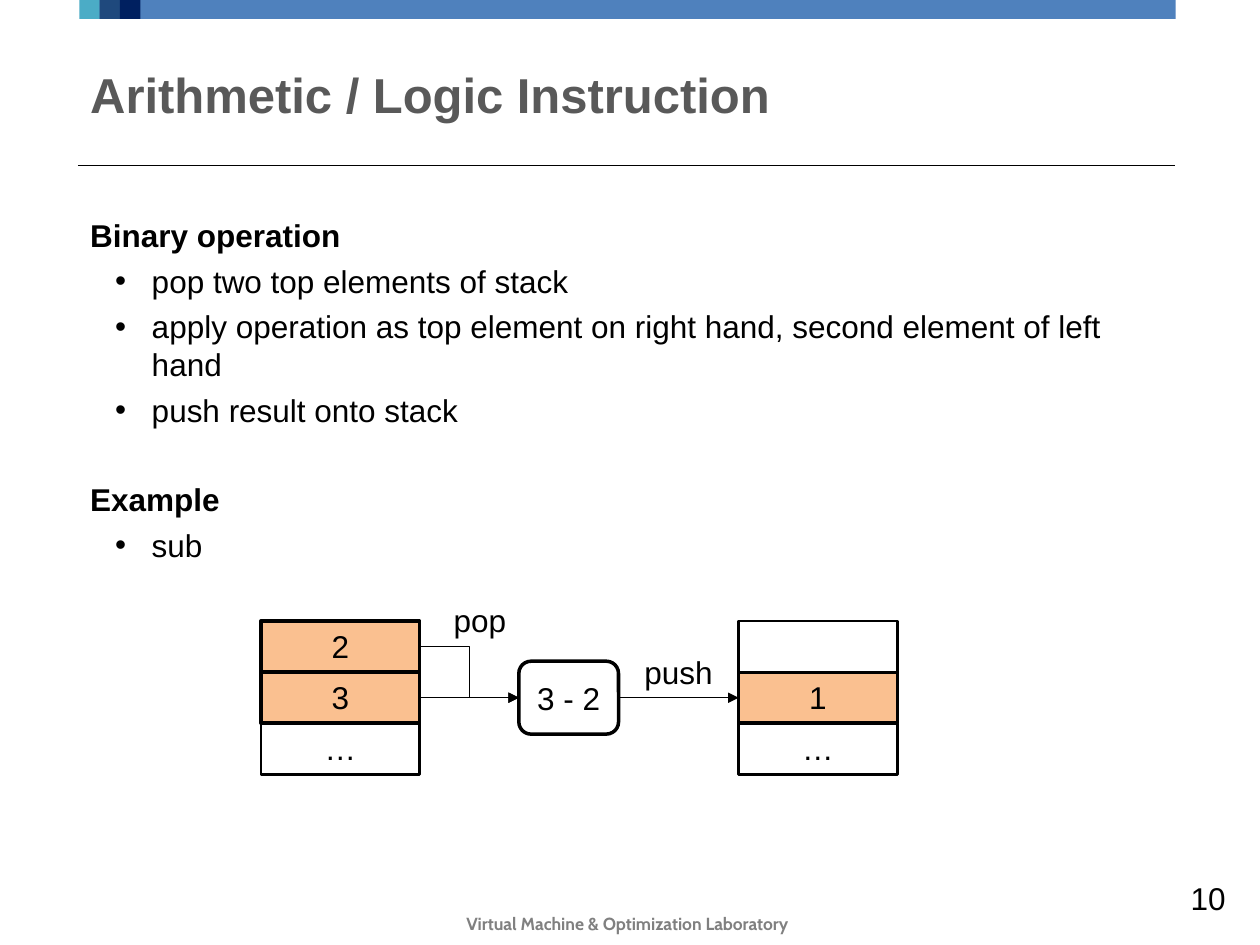
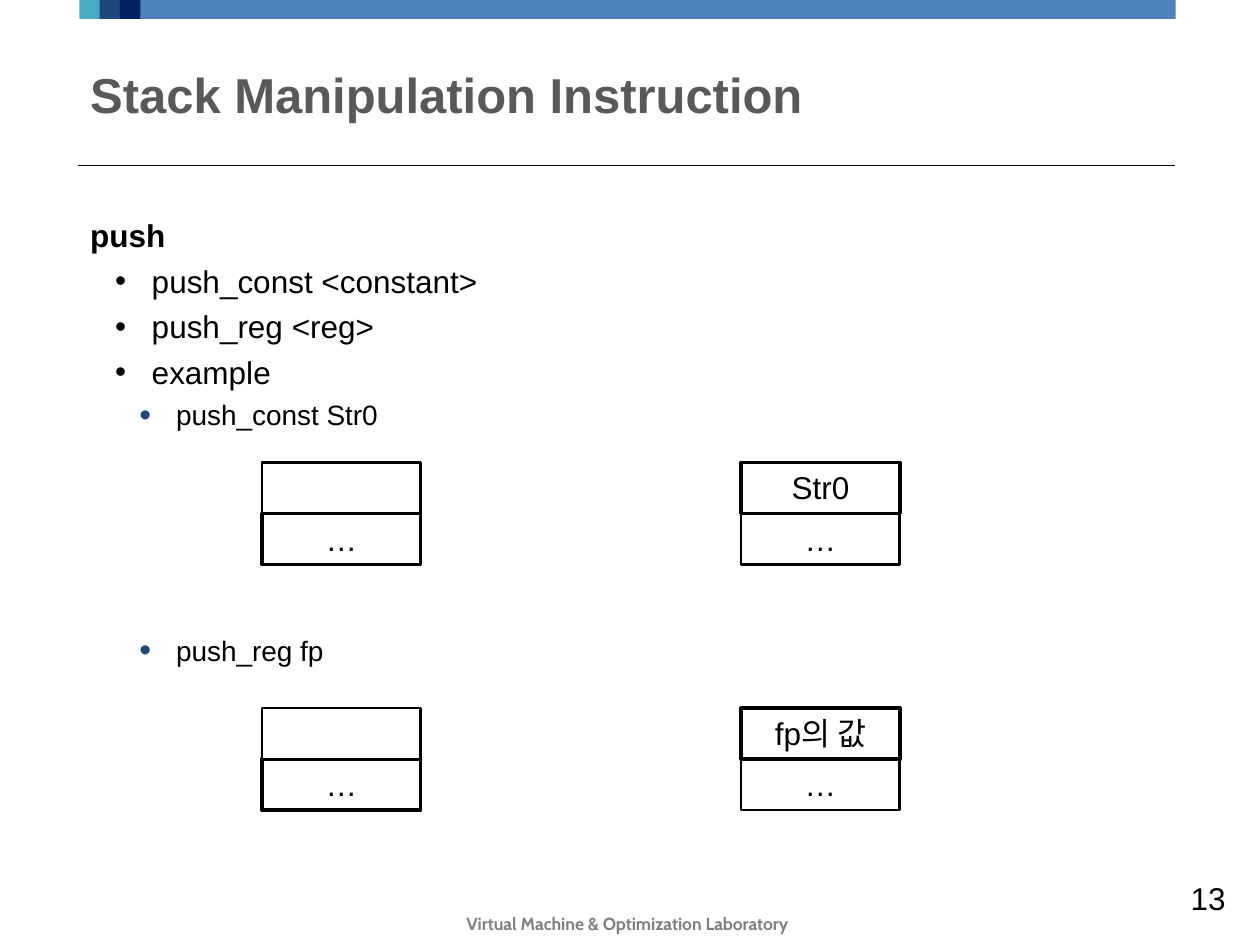
from typing import NamedTuple

from lxml import etree
from pptx import Presentation
from pptx.dml.color import RGBColor
from pptx.enum.shapes import MSO_CONNECTOR, MSO_SHAPE
from pptx.enum.text import MSO_ANCHOR, PP_ALIGN
from pptx.oxml.ns import qn
from pptx.util import Cm, Pt

RECTANGLE, ROUNDED = MSO_SHAPE.RECTANGLE, MSO_SHAPE.ROUNDED_RECTANGLE
STRAIGHT, ELBOW = MSO_CONNECTOR.STRAIGHT, MSO_CONNECTOR.ELBOW
LEFT, CENTER, RIGHT = PP_ALIGN.LEFT, PP_ALIGN.CENTER, PP_ALIGN.RIGHT
TOP, MIDDLE = MSO_ANCHOR.TOP, MSO_ANCHOR.MIDDLE

BLACK = RGBColor(0x00, 0x00, 0x00)
WHITE = RGBColor(0xFF, 0xFF, 0xFF)
BLUE = RGBColor(0x4F, 0x81, 0xBD)
TEAL = RGBColor(0x4B, 0xAC, 0xC6)
DARK_BLUE = RGBColor(0x1F, 0x49, 0x7D)
NAVY = RGBColor(0x00, 0x20, 0x60)
ORANGE = RGBColor(0xFA, 0xC0, 0x90)
TITLE_GRAY = RGBColor(0x59, 0x59, 0x59)
FOOTER_GRAY = RGBColor(0x80, 0x80, 0x80)

BODY_FONT, FOOTER_FONT = "Arial", "Cabin"
FOOTER = "Virtual Machine & Optimization Laboratory"
CELL_WIDTH, CELL_HEIGHT = 3.2, 1.03
THIN, THICK = 1.5, 2
LEVEL_SIZES = (18, 18, 16)
LEVEL_INDENTS = (0, 1.24, 1.73)
LEVEL_GAPS = (4.4, 4.4, 3.9)
HANGING = 0.74


class Box(NamedTuple):
    """Left, top, width and height in centimetres."""
    left: float
    top: float
    width: float
    height: float

    def lengths(self):
        """Return the four values as lengths."""
        return [Cm(value) for value in self]


PAGE = Box(0, 0, 25.4, 19.05)
BODY = Box(1.57, 4.24, 22.12, 13.54)


def format_runs(paragraph, size=18, color=BLACK, bold=False, font=BODY_FONT):
    """Give every run of a paragraph the same font."""
    for run in paragraph.runs:
        run.font.name = font
        run.font.size = Pt(size)
        run.font.bold = bold
        run.font.color.rgb = color


def set_text(shape, text, align=CENTER, anchor=TOP, wrap=True, **font):
    """Write one formatted paragraph into a shape."""
    frame = shape.text_frame
    frame.word_wrap = wrap
    frame.vertical_anchor = anchor
    frame.text = text
    frame.paragraphs[0].alignment = align
    format_runs(frame.paragraphs[0], **font)


def add_label(slide, box, text, **style):
    """Add a text box with one paragraph."""
    set_text(slide.shapes.add_textbox(*box.lengths()), text, **style)


def add_block(shapes, box, fill, line_width=0, kind=RECTANGLE):
    """Add a filled shape, outlined in black if a line width is given."""
    block = shapes.add_shape(kind, *box.lengths())
    block.shadow.inherit = False
    block.fill.solid()
    block.fill.fore_color.rgb = fill
    if line_width:
        block.line.color.rgb = BLACK
        block.line.width = Pt(line_width)
    else:
        block.line.fill.background()
    return block


def add_line(slide, kind, start=(0, 0), end=(0, 0)):
    """Add a thin black connector without a shadow."""
    line = slide.shapes.add_connector(kind, *[Cm(value) for value in (*start, *end)])
    line.line.color.rgb = BLACK
    line.line.width = Pt(0.75)
    etree.SubElement(line._element.spPr, qn("a:effectLst"))
    return line


def add_arrow(slide, source, target):
    """Join the right side of one shape to the left side of another."""
    arrow = add_line(slide, ELBOW)
    arrow.begin_connect(source, 3)
    arrow.end_connect(target, 1)
    etree.SubElement(arrow.line._get_or_add_ln(), qn("a:tailEnd"), type="triangle")


def add_frame(slide, box, title, number):
    """Add the band, title, rule, footer and page number."""
    left, right = BODY.left, BODY.left + BODY.width
    square = 0.41
    band_top = box.top - 0.03
    add_block(slide.shapes, Box(left + 0.08, band_top, BODY.width - 0.07, square), BLUE)
    for index, color in enumerate((TEAL, DARK_BLUE, NAVY)):
        square_box = Box(left + 0.03 + index * square, band_top, square, square)
        add_block(slide.shapes, square_box, color)
    add_line(slide, STRAIGHT, (left, box.top + 3.33), (right, box.top + 3.33))
    add_label(slide, Box(left, box.top + 0.94, BODY.width, 1.9), title,
              align=LEFT, anchor=MIDDLE, size=28, color=TITLE_GRAY, bold=True)
    add_label(slide, Box(box.left + 7.44, box.top + 18.29, 10.41, 0.69), FOOTER,
              size=10, color=FOOTER_GRAY, bold=True, font=FOOTER_FONT)
    add_label(slide, Box(right, box.top + 17.6, 1.27, 1.02), number,
              align=RIGHT, anchor=MIDDLE, wrap=False)


def set_bullet(paragraph, level):
    """Indent a paragraph and give it the bullet of its level."""
    properties = paragraph._p.get_or_add_pPr()
    properties.set("marL", str(Cm(LEVEL_INDENTS[level])))
    properties.set("indent", str(-Cm(HANGING)))
    if level == 2:
        color = etree.SubElement(properties, qn("a:buClr"))
        etree.SubElement(color, qn("a:srgbClr"), val=str(DARK_BLUE))
        etree.SubElement(properties, qn("a:buSzPct"), val="120000")
    etree.SubElement(properties, qn("a:buFont"), typeface=BODY_FONT)
    etree.SubElement(properties, qn("a:buChar"), char="•")


def add_outline(slide, box, items):
    """Add the body text from (level, text, extra gap in points) items."""
    frame = slide.shapes.add_textbox(*box.lengths()).text_frame
    frame.word_wrap = True
    for index, (level, text, extra_gap) in enumerate(items):
        paragraph = frame.add_paragraph() if index else frame.paragraphs[0]
        paragraph.text = text
        paragraph.level = level
        paragraph.space_before = Pt(LEVEL_GAPS[level] + extra_gap)
        format_runs(paragraph, LEVEL_SIZES[level], bold=level == 0)
        if level:
            set_bullet(paragraph, level)


def add_stack(slide, left, top, cells):
    """Add a grouped stack from (text, fill, line width) cells, top cell first."""
    group = slide.shapes.add_group_shape()
    blocks = []
    for index, (text, fill, line_width) in reversed(list(enumerate(cells))):
        cell_box = Box(left, top + index * CELL_HEIGHT, CELL_WIDTH, CELL_HEIGHT)
        block = add_block(group.shapes, cell_box, fill, line_width)
        if text:
            set_text(block, text)
        blocks.insert(0, block)
    return blocks


def add_subtraction(slide, box):
    """Show two elements popped, subtracted and the result pushed."""
    rest = ("…", WHITE, THIN)
    before = add_stack(slide, box.left, box.top,
                       [("2", ORANGE, THICK), ("3", ORANGE, THICK), rest])
    after = add_stack(slide, box.left + box.width - CELL_WIDTH, box.top,
                      [("", WHITE, THIN), ("1", ORANGE, THICK), rest])
    height = 1.47
    operation_box = Box(box.left + 5.2, box.top + (box.height - height) / 2, 2.01, height)
    operation = add_block(slide.shapes, operation_box, WHITE, THICK, ROUNDED)
    set_text(operation, "3 - 2", anchor=MIDDLE, wrap=False)
    add_arrow(slide, before[0], operation)
    add_arrow(slide, before[1], operation)
    add_arrow(slide, operation, after[1])
    add_label(slide, Box(box.left + 3.63, box.top - 0.53, 1.57, 1.02), "pop", wrap=False)
    add_label(slide, Box(box.left + 7.47, box.top + 0.51, 1.9, 1.02), "push", wrap=False)


def add_push(slide, box, value):
    """Show a stack before and after a value is pushed."""
    add_stack(slide, box.left, box.top, [("", WHITE, THIN), ("…", WHITE, THICK)])
    add_stack(slide, box.left + box.width - CELL_WIDTH, box.top,
              [(value, WHITE, THICK), ("…", WHITE, THIN)])


def add_slide(presentation, title, number, items):
    """Add a slide with its frame and body text."""
    slide = presentation.slides.add_slide(presentation.slide_layouts[6])
    add_frame(slide, PAGE, title, number)
    add_outline(slide, BODY, items)
    return slide


def main():
    """Build and save the presentation."""
    presentation = Presentation()
    presentation.slide_width, presentation.slide_height = Cm(PAGE.width), Cm(PAGE.height)

    slide = add_slide(presentation, "Arithmetic / Logic Instruction", "10", [
        (0, "Binary operation", 0),
        (1, "pop two top elements of stack", 0),
        (1, "apply operation as top element on right hand, "
            "second element of left hand", 0),
        (1, "push result onto stack", 0),
        (0, "Example", 25.1),
        (1, "sub", 0),
    ])
    add_subtraction(slide, Box(5.26, 12.52, 12.83, 3 * CELL_HEIGHT))

    slide = add_slide(presentation, "Stack Manipulation Instruction", "13", [
        (0, "push", 0),
        (1, "push_const <constant>", 0),
        (1, "push_reg <reg>", 0),
        (1, "example", 0),
        (2, "push_const Str0", 0),
        (2, "push_reg fp", 111.5),
    ])
    for top, value in ((9.32, "Str0"), (14.27, "fp의 값")):
        add_push(slide, Box(5.28, top, 12.86, 2 * CELL_HEIGHT), value)

    presentation.save("out.pptx")


main()
